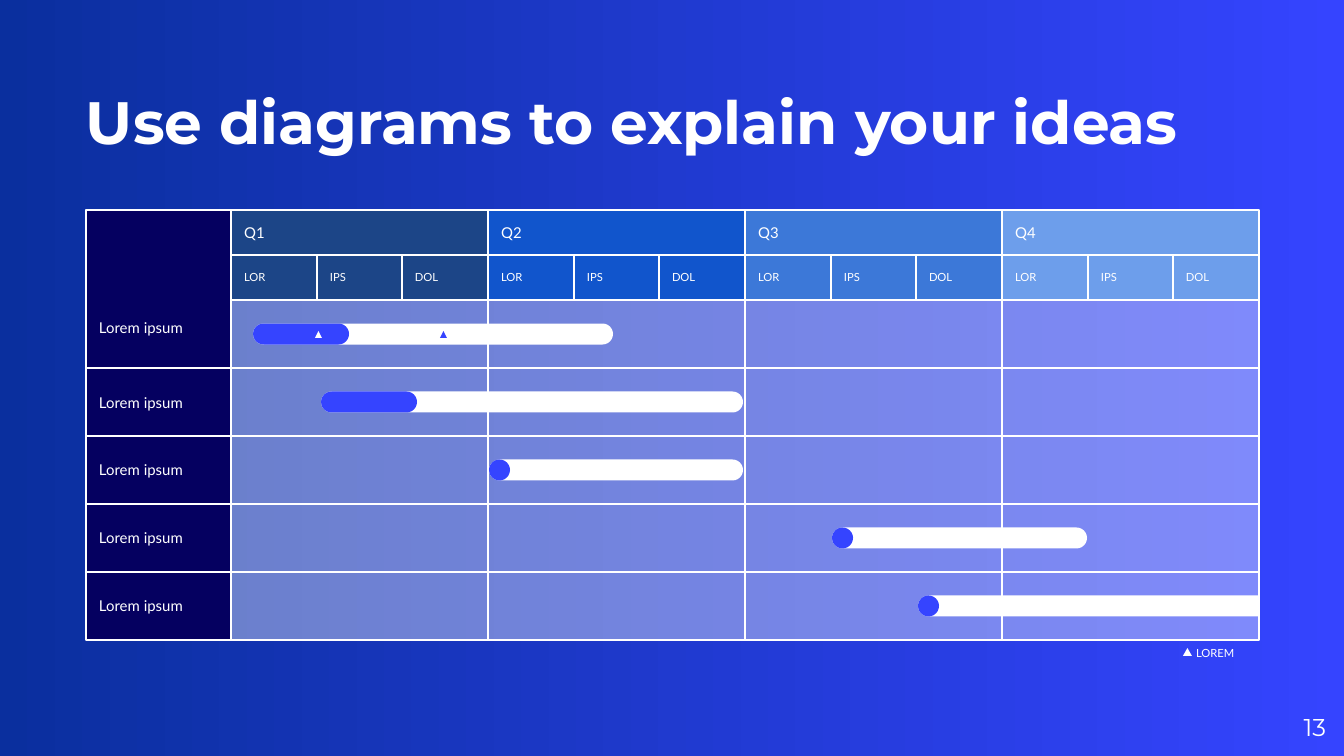
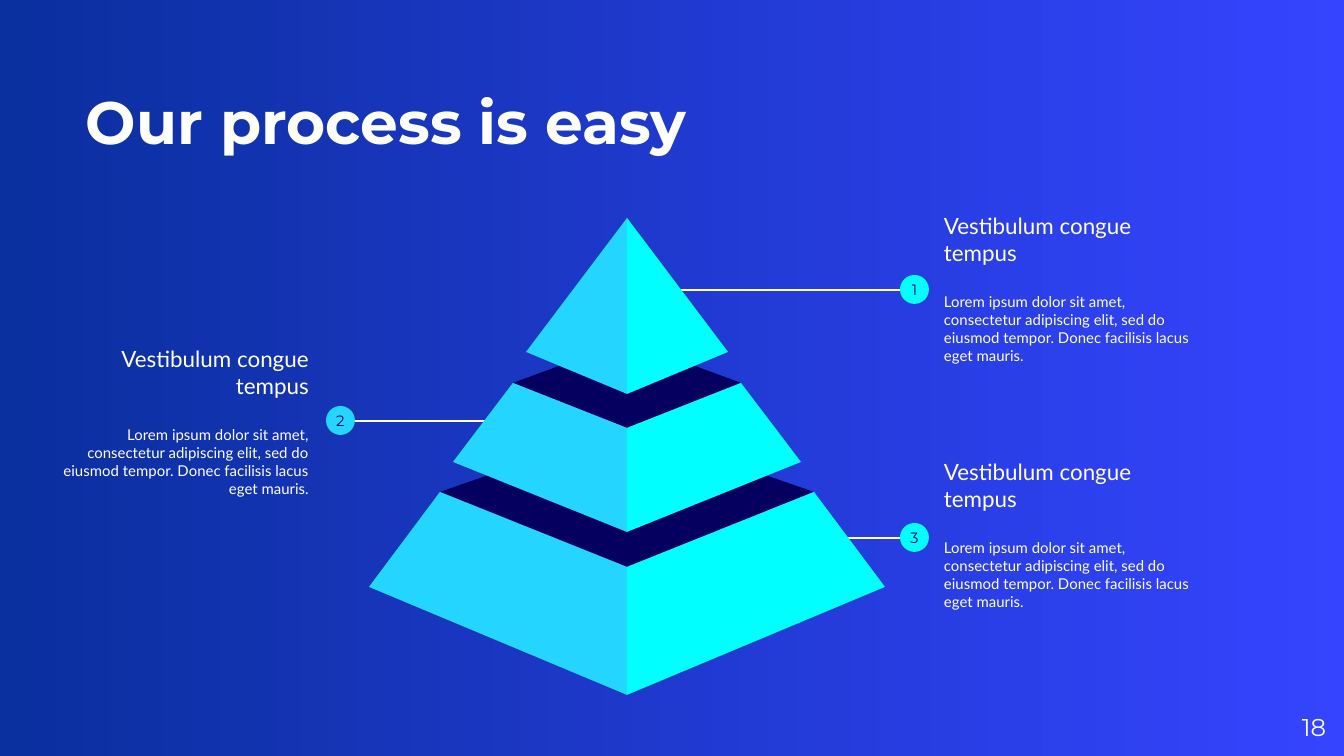
from dataclasses import dataclass

from lxml.etree import SubElement
from pptx import Presentation
from pptx.dml.color import RGBColor
from pptx.enum.shapes import MSO_CONNECTOR, MSO_SHAPE
from pptx.enum.text import MSO_ANCHOR, MSO_AUTO_SIZE, PP_ALIGN
from pptx.oxml.ns import qn
from pptx.util import Emu, Pt

# Shared frame, palette and fonts
SLIDE_WIDTH, SLIDE_HEIGHT = 1344, 756
EMU_PER_PX = 9144000 / SLIDE_WIDTH
INSET = 13
WHITE, NAVY, BLUE = "FFFFFF", "050060", "3544FF"
DEEP_BLUE, SKY, CYAN = "0A2F9E", "24D6FF", "00FFFF"
HEADING_FONT, BODY_FONT = "Montserrat", "Lato"

# Schedule grid
LABEL_LEFT, LABEL_WIDTH = 86, 145
GRID_LEFT, GRID_TOP = 231, 210
QUARTER_WIDTH, HEADER_HEIGHT, ROW_HEIGHT = 257, 45, 68
ROWS_TOP = GRID_TOP + 2 * HEADER_HEIGHT
ROW_COUNT = 5
BAR_THICKNESS = 21
QUARTER_COLORS = {"Q1": "1C4587", "Q2": "1155CC", "Q3": "3C78D8", "Q4": "6D9EEB"}
MONTHS = ("LOR", "IPS", "DOL")

# Pyramid
PYRAMID_CENTER = 627
MARKER_SIZE = 29
CALLOUT_WIDTH, CALLOUT_HEIGHT = 274, 203
CALLOUT_HEADING = "Vestibulum congue tempus"
CALLOUT_BODY = ("Lorem ipsum dolor sit amet, consectetur adipiscing elit, sed do "
                "eiusmod tempor. Donec facilisis lacus eget mauris.")


@dataclass(frozen=True)
class Box:
    left: int
    top: int
    width: int
    height: int

    def emu(self) -> tuple:
        return px(self.left), px(self.top), px(self.width), px(self.height)


@dataclass(frozen=True)
class TextStyle:
    size: float
    font: str = BODY_FONT
    color: str = WHITE
    bold: bool = False
    align: PP_ALIGN = PP_ALIGN.LEFT


@dataclass(frozen=True)
class TaskBar:
    left: int
    right: int
    done: int
    open_ended: bool = False


@dataclass(frozen=True)
class Milestone:
    box: Box
    color: str


@dataclass(frozen=True)
class Callout:
    number: str
    text_left: int
    text_top: int
    marker_left: int
    marker_top: int
    line_start: int
    line_end: int
    color: str
    align: PP_ALIGN


@dataclass(frozen=True)
class Tier:
    """Half widths are measured from the pyramid's centre line."""
    back_y: int
    shoulder_half: int
    shoulder_y: int
    front_y: int
    base_half: int
    base_y: int
    bottom_y: int


TITLE_STYLE = TextStyle(32, HEADING_FONT, bold=True)
NUMBER_STYLE = TextStyle(13, HEADING_FONT, align=PP_ALIGN.RIGHT)
MARKER_STYLE = TextStyle(8, HEADING_FONT, NAVY, align=PP_ALIGN.CENTER)
LABEL_STYLE = TextStyle(8)
MONTH_STYLE = TextStyle(6)

TASKS = (
    TaskBar(253, 613, 96),
    TaskBar(321, 743, 96),
    TaskBar(489, 743, BAR_THICKNESS),
    TaskBar(832, 1087, BAR_THICKNESS),
    TaskBar(918, 1258, BAR_THICKNESS, open_ended=True),
)
MILESTONES = (
    Milestone(Box(315, 331, 7, 7), WHITE),
    Milestone(Box(440, 331, 7, 7), BLUE),
    Milestone(Box(1183, 648, 9, 8), WHITE),
)
CALLOUTS = (
    Callout("3", 931, 433, 900, 523, 843, 929, CYAN, PP_ALIGN.LEFT),
    Callout("2", 48, 320, 326, 406, 489, 336, SKY, PP_ALIGN.RIGHT),
    Callout("1", 931, 187, 900, 275, 676, 929, CYAN, PP_ALIGN.LEFT),
)
TIERS = (
    Tier(427, 187, 492, 567, 258, 587, 695),
    Tier(341, 114, 383, 428, 174, 462, 532),
    Tier(218, 0, 218, 218, 101, 352, 394),
)


# Shared helpers
def px(value: int) -> Emu:
    return Emu(round(value * EMU_PER_PX))


def rgb(color: str) -> RGBColor:
    return RGBColor.from_string(color)


def add_run(paragraph, text: str, style: TextStyle) -> None:
    paragraph.alignment = style.align
    run = paragraph.add_run()
    run.text = text
    run.font.size = Pt(style.size)
    run.font.name = style.font
    run.font.bold = style.bold
    run.font.color.rgb = rgb(style.color)


def format_frame(frame, anchor: MSO_ANCHOR, side: int = 0, top: int = 0,
                 bottom: int = 0) -> None:
    frame.word_wrap = True
    frame.auto_size = MSO_AUTO_SIZE.NONE
    frame.vertical_anchor = anchor
    frame.margin_left = frame.margin_right = px(side)
    frame.margin_top, frame.margin_bottom = px(top), px(bottom)


def paint(shape, color: str, outline: str | None = None, opacity: int = 100) -> None:
    shape.shadow.inherit = False
    shape.fill.solid()
    shape.fill.fore_color.rgb = rgb(color)
    if opacity < 100:
        color_element = shape._element.spPr.find(qn("a:solidFill")).find(qn("a:srgbClr"))
        SubElement(color_element, qn("a:alpha"), val=str(opacity * 1000))
    if outline:
        shape.line.color.rgb = rgb(outline)
        shape.line.width = Pt(0.75)
    else:
        shape.line.fill.background()


def add_text_box(slide, box: Box, anchor: MSO_ANCHOR, side: int = 0, edge: int = 0):
    frame = slide.shapes.add_textbox(*box.emu()).text_frame
    format_frame(frame, anchor, side, edge, edge)
    return frame


def set_background(master) -> None:
    fill = master.background.fill
    fill.gradient()
    fill.gradient_angle = 180
    for stop, position, color in zip(fill.gradient_stops, (0, 1), (BLUE, DEEP_BLUE)):
        stop.position = position
        stop.color.rgb = rgb(color)


def add_slide(presentation, title: str, title_width: int, number: str):
    slide = presentation.slides.add_slide(presentation.slide_layouts[5])
    shape = slide.shapes.title
    shape.left, shape.top, shape.width, shape.height = Box(86, 31, title_width, 126).emu()
    format_frame(shape.text_frame, MSO_ANCHOR.BOTTOM)
    add_run(shape.text_frame.paragraphs[0], title, TITLE_STYLE)
    frame = add_text_box(slide, Box(1246, 698, 80, 58), MSO_ANCHOR.MIDDLE)
    add_run(frame.paragraphs[0], number, NUMBER_STYLE)
    return slide


# Schedule parts
def add_cell(slide, box: Box, color: str, text: str = "", style: TextStyle = LABEL_STYLE,
             opacity: int = 100, anchor: MSO_ANCHOR = MSO_ANCHOR.MIDDLE,
             bottom: int = INSET) -> None:
    shape = slide.shapes.add_shape(MSO_SHAPE.RECTANGLE, *box.emu())
    paint(shape, color, WHITE, opacity)
    if text:
        format_frame(shape.text_frame, anchor, INSET, INSET, bottom)
        add_run(shape.text_frame.paragraphs[0], text, style)


def add_bar(slide, left: int, right: int, center_y: int, color: str,
            open_ended: bool = False) -> None:
    length, thickness = px(right - left), px(BAR_THICKNESS)
    shape = slide.shapes.add_shape(
        MSO_SHAPE.ROUND_2_SAME_RECTANGLE, px(left) + (length - thickness) // 2,
        px(center_y) - length // 2, thickness, length)
    shape.rotation = 90
    shape.adjustments[0] = 0 if open_ended else 0.5
    shape.adjustments[1] = 0.5
    paint(shape, color)


def build_schedule(presentation) -> None:
    slide = add_slide(presentation, "Use diagrams to explain your ideas", 1175, "13")
    row_tops = [ROWS_TOP + row * ROW_HEIGHT for row in range(ROW_COUNT)]

    # Quarter headers, months and translucent cells
    for index, (quarter, color) in enumerate(QUARTER_COLORS.items()):
        left = GRID_LEFT + index * QUARTER_WIDTH
        for top in row_tops:
            add_cell(slide, Box(left, top, QUARTER_WIDTH, ROW_HEIGHT), WHITE, opacity=38)
        add_cell(slide, Box(left, GRID_TOP, QUARTER_WIDTH, HEADER_HEIGHT), color, quarter)
        edges = [left + round(QUARTER_WIDTH * part / 3) for part in range(4)]
        for month, start, end in zip(MONTHS, edges, edges[1:]):
            box = Box(start, GRID_TOP + HEADER_HEIGHT, end - start, HEADER_HEIGHT)
            add_cell(slide, box, color, month, MONTH_STYLE)

    # Row labels: the first also covers the header rows
    add_cell(slide, Box(LABEL_LEFT, GRID_TOP, LABEL_WIDTH, 2 * HEADER_HEIGHT + ROW_HEIGHT),
             NAVY, "Lorem ipsum", anchor=MSO_ANCHOR.BOTTOM, bottom=31)
    for top in row_tops[1:]:
        add_cell(slide, Box(LABEL_LEFT, top, LABEL_WIDTH, ROW_HEIGHT), NAVY, "Lorem ipsum")

    # Task bars with their finished part
    for task, top in zip(TASKS, row_tops):
        center_y = top + ROW_HEIGHT // 2
        add_bar(slide, task.left, task.right, center_y, WHITE, task.open_ended)
        add_bar(slide, task.left, task.left + task.done, center_y, BLUE)

    # Milestones and legend
    for milestone in MILESTONES:
        shape = slide.shapes.add_shape(MSO_SHAPE.ISOSCELES_TRIANGLE, *milestone.box.emu())
        paint(shape, milestone.color)
    frame = add_text_box(slide, Box(1183, 645, 75, 15), MSO_ANCHOR.MIDDLE, INSET, 1)
    add_run(frame.paragraphs[0], "LOREM", MONTH_STYLE)


# Pyramid parts
def add_callout(slide, callout: Callout) -> None:
    line_y = px(callout.marker_top + 15)
    line = slide.shapes.add_connector(MSO_CONNECTOR.STRAIGHT, px(callout.line_start), line_y,
                                      px(callout.line_end), line_y)
    line.line.color.rgb = rgb(WHITE)
    line.line.width = Pt(0.75)
    SubElement(line._element.spPr, qn("a:effectLst"))

    box = Box(callout.text_left, callout.text_top, CALLOUT_WIDTH, CALLOUT_HEIGHT)
    frame = add_text_box(slide, box, MSO_ANCHOR.MIDDLE, INSET, INSET)
    add_run(frame.paragraphs[0], CALLOUT_HEADING, TextStyle(12, align=callout.align))
    body = frame.add_paragraph()
    body.space_before = Pt(14.4)
    add_run(body, CALLOUT_BODY, TextStyle(8, align=callout.align))

    box = Box(callout.marker_left, callout.marker_top, MARKER_SIZE, MARKER_SIZE)
    marker = slide.shapes.add_shape(MSO_SHAPE.OVAL, *box.emu())
    paint(marker, callout.color)
    format_frame(marker.text_frame, MSO_ANCHOR.MIDDLE)
    add_run(marker.text_frame.paragraphs[0], callout.number, MARKER_STYLE)


def add_polygon(slide, points: list[tuple[int, int]], color: str) -> None:
    builder = slide.shapes.build_freeform(*points[0], scale=EMU_PER_PX)
    builder.add_line_segments(points[1:], close=True)
    paint(builder.convert_to_shape(), color)


def add_tier(slide, tier: Tier) -> None:
    center, half = PYRAMID_CENTER, tier.shoulder_half
    if half:
        add_polygon(slide, [(center - half, tier.shoulder_y), (center, tier.front_y),
                            (center + half, tier.shoulder_y), (center, tier.back_y)], NAVY)
    for side, color in ((-1, SKY), (1, CYAN)):
        corners = [(center + side * half, tier.shoulder_y),
                   (center + side * tier.base_half, tier.base_y),
                   (center, tier.bottom_y)]
        if half:
            corners.append((center, tier.front_y))
        add_polygon(slide, corners, color)


def build_pyramid(presentation) -> None:
    slide = add_slide(presentation, "Our process is easy", 884, "18")
    for callout in CALLOUTS:
        add_callout(slide, callout)
    for tier in TIERS:
        add_tier(slide, tier)


def main() -> None:
    presentation = Presentation()
    presentation.slide_width = px(SLIDE_WIDTH)
    presentation.slide_height = px(SLIDE_HEIGHT)
    set_background(presentation.slide_master)
    build_schedule(presentation)
    build_pyramid(presentation)
    presentation.save("out.pptx")


if __name__ == "__main__":
    main()
